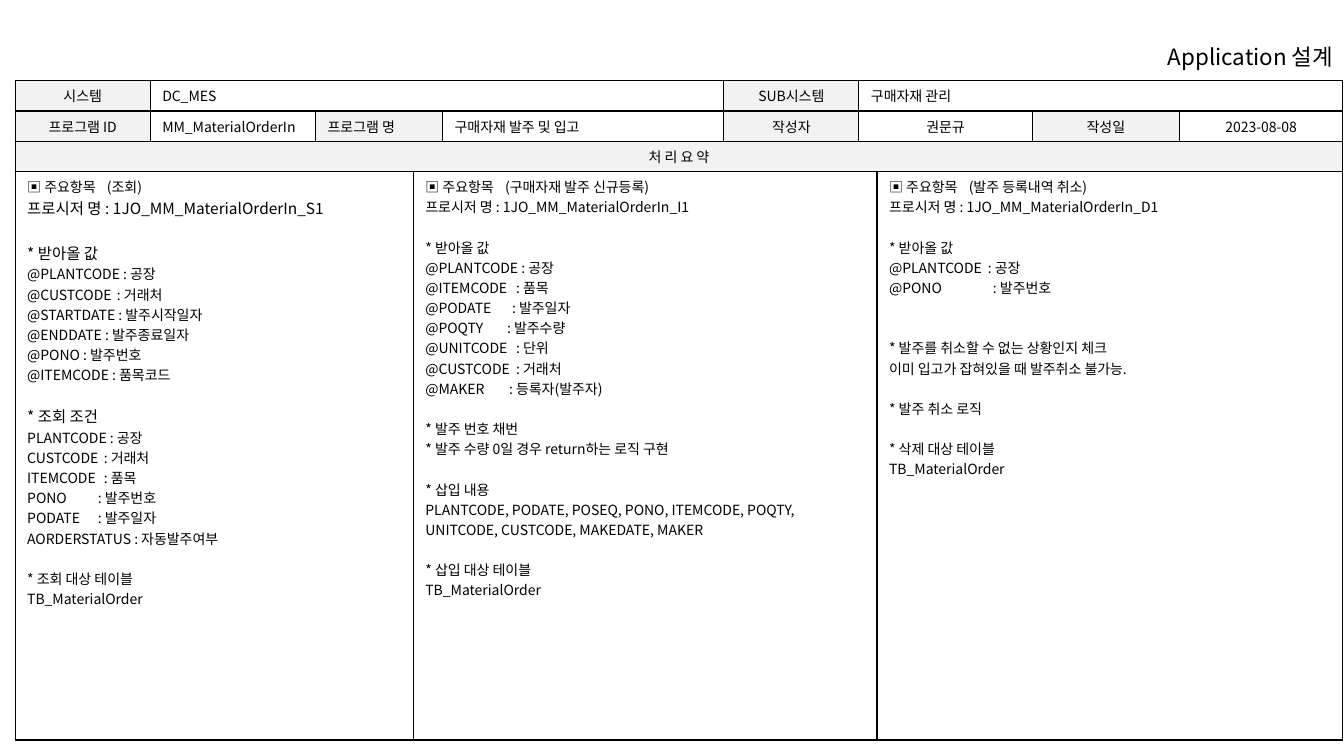
from pptx import Presentation
from pptx.dml.color import RGBColor
from pptx.enum.text import MSO_ANCHOR, PP_ALIGN
from pptx.oxml.ns import qn
from pptx.util import Inches, Pt
from lxml.etree import SubElement


def color(code):
    return RGBColor.from_string(code)


def put(item, form):
    for name, value in form.items():
        setattr(item, name, value)


class Page:
    face = "Noto Sans CJK KR"
    ink = "000000"
    shade = "F2F2F2"
    inset = dict(margin_left=Inches(0.12), margin_right=Inches(0.12),
                 margin_top=Inches(0.05), margin_bottom=Inches(0.05))

    def __init__(self, deck):
        self.slide = deck.slides.add_slide(deck.slide_layouts[6])

    def line(self, para, text, size=10, stop=0, gap=0, align=PP_ALIGN.LEFT):
        put(para, dict(alignment=align, space_before=Pt(gap)))
        if stop:
            tabs = SubElement(para._p.get_or_add_pPr(), qn("a:tabLst"))
            SubElement(tabs, qn("a:tab"), pos=str(Inches(stop)), algn="l")
        run = para.add_run()
        run.text = text
        put(run.font, dict(name=self.face, size=Pt(size)))
        run.font.color.rgb = color(self.ink)
        SubElement(run._r.get_or_add_rPr(), qn("a:ea"), typeface=self.face)

    def title(self, text, left, top, width, height):
        box = self.slide.shapes.add_textbox(*map(Inches, (left, top, width, height)))
        put(box.text_frame, dict(word_wrap=True, vertical_anchor=MSO_ANCHOR.MIDDLE))
        self.line(box.text_frame.paragraphs[0], text, 16, align=PP_ALIGN.RIGHT)

    def grid(self, left, top, cols, rows):
        frame = self.slide.shapes.add_table(
            len(rows), len(cols), Inches(left), Inches(top),
            Inches(sum(cols)), Inches(sum(rows)))
        table = frame.table
        put(table, dict(first_row=False, horz_banding=False))
        for col, width in zip(table.columns, cols):
            col.width = Inches(width)
        for row, height in zip(table.rows, rows):
            row.height = Inches(height)
        for cell in table.iter_cells():
            self.edge(cell)
            cell.fill.background()
        return table

    def edge(self, cell):
        props = cell._tc.get_or_add_tcPr()
        for side in "LRTB":
            line = SubElement(props, qn("a:ln" + side), w=str(Pt(1)))
            fill = SubElement(line, qn("a:solidFill"))
            SubElement(fill, qn("a:srgbClr"), val=self.ink)

    def cell(self, table, row, col, span, groups, align=PP_ALIGN.LEFT, shade=False):
        cell = table.cell(row, col)
        if span > 1:
            cell.merge(table.cell(row, col + span - 1))
        put(cell, self.inset)
        if shade:
            cell.fill.solid()
            cell.fill.fore_color.rgb = color(self.shade)
        frame = cell.text_frame
        para = frame.paragraphs[0]
        for gap, lines in groups:
            for i, item in enumerate(lines):
                text, form = (item, {}) if isinstance(item, str) else item
                self.line(para, text, gap=0 if i else gap, align=align, **form)
                para = frame.add_paragraph()
        frame._txBody.remove(para._p)


def tab(text, stop):
    return text, dict(stop=stop)


def big(text):
    return text, dict(size=11)


def head(text):
    return tab("▣ 주요항목\t(" + text + ")", 0.79)


GAP = 14.4
TABLE = "TB_MaterialOrder"
INPUT = "* 받아올 값"
PROC = "프로시저 명 : 1JO_MM_MaterialOrderIn_"
LEFT, MID = PP_ALIGN.LEFT, PP_ALIGN.CENTER

HEADS = [
    [("시스템", 1, MID, True), ("DC_MES", 4, LEFT, False),
     ("SUB시스템", 1, MID, True), ("구매자재 관리", 4, LEFT, False)],
    [("프로그램 ID", 1, MID, True), ("MM_MaterialOrderIn", 1, LEFT, False),
     ("프로그램 명", 2, LEFT, True), ("구매자재 발주 및 입고", 1, LEFT, False),
     ("작성자", 1, MID, True), ("권문규", 2, MID, False),
     ("작성일", 1, MID, True), ("2023-08-08", 1, MID, False)],
    [("처 리 요 약", 10, MID, True)],
]

QUERY = [
    (0, [head("조회"), big(PROC + "S1")]),
    (16, [big(INPUT), "@PLANTCODE : 공장", tab("@CUSTCODE\t: 거래처", 0.89),
          "@STARTDATE : 발주시작일자", "@ENDDATE : 발주종료일자",
          "@PONO : 발주번호", "@ITEMCODE : 품목코드"]),
    (GAP, [big("* 조회 조건"), "PLANTCODE : 공장", tab("CUSTCODE\t: 거래처", 0.76),
           tab("ITEMCODE\t: 품목", 0.76), tab("PONO\t: 발주번호", 0.7),
           tab("PODATE\t: 발주일자", 0.7), "AORDERSTATUS : 자동발주여부"]),
    (GAP, ["* 조회 대상 테이블", TABLE]),
]
INSERT = [
    (0, [head("구매자재 발주 신규등록"), PROC + "I1"]),
    (GAP, [INPUT, "@PLANTCODE : 공장", tab("@ITEMCODE\t: 품목", 0.9),
           tab("@PODATE\t: 발주일자", 0.86), tab("@POQTY\t: 발주수량", 0.81),
           tab("@UNITCODE\t: 단위", 0.9), tab("@CUSTCODE\t: 거래처", 0.9),
           tab("@MAKER\t: 등록자(발주자)", 0.83)]),
    (GAP, ["* 발주 번호 채번", "* 발주 수량 0일 경우 return하는 로직 구현"]),
    (GAP, ["* 삽입 내용", "PLANTCODE, PODATE, POSEQ, PONO, ITEMCODE, POQTY, "
           "UNITCODE, CUSTCODE, MAKEDATE, MAKER"]),
    (GAP, ["* 삽입 대상 테이블", TABLE]),
]
CANCEL = [
    (0, [head("발주 등록내역 취소"), PROC + "D1"]),
    (GAP, [INPUT, tab("@PLANTCODE\t: 공장", 0.98), tab("@PONO\t: 발주번호", 1.03)]),
    (2 * GAP, ["* 발주를 취소할 수 없는 상황인지 체크",
               "이미 입고가 잡혀있을 때 발주취소 불가능."]),
    (GAP, ["* 발주 취소 로직"]),
    (GAP, ["* 삭제 대상 테이블", TABLE]),
]

deck = Presentation()
put(deck, dict(slide_width=Inches(13.33), slide_height=Inches(7.5)))
page = Page(deck)
table = page.grid(0.15, 0.8,
                  [1.34, 1.64, 0.97, 0.29, 2.79, 1.34, 0.18, 1.54, 1.46, 1.62],
                  [0.3, 0.3, 0.3, 5.64])
for row, cells in enumerate(HEADS):
    col = 0
    for text, span, align, shade in cells:
        page.cell(table, row, col, span, [(0, [text])], align, shade)
        col += span
for col, span, groups in [(0, 3, QUERY), (3, 4, INSERT), (7, 3, CANCEL)]:
    page.cell(table, 3, col, span, groups)
page.title("Application 설계", 10.35, 0.4, 2.97, 0.33)
deck.save("out.pptx")
